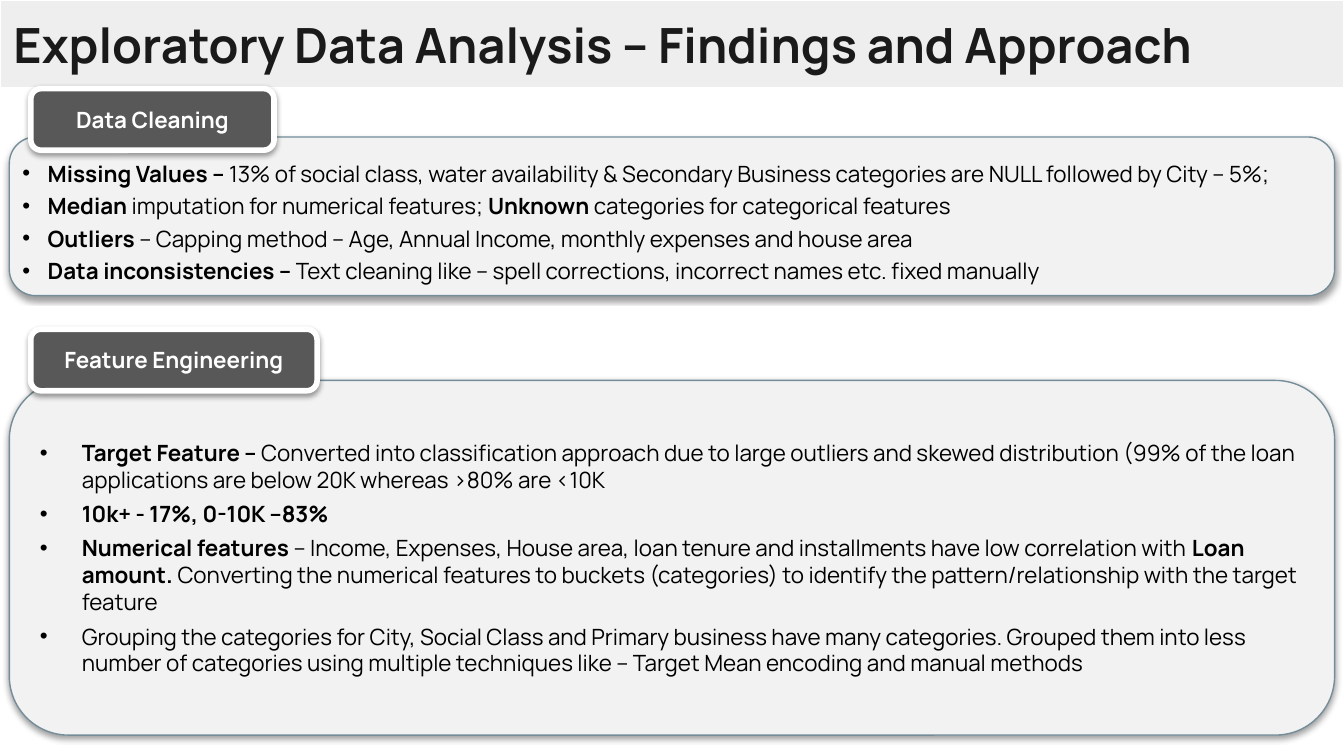
"""Build the slide on exploratory data analysis findings."""
from lxml import etree
from pptx import Presentation
from pptx import util as u
from pptx.dml.color import RGBColor
from pptx.enum import shapes, text
from pptx.oxml.ns import qn

FONT = "Manrope"
BLACK = RGBColor(0, 0, 0)
WHITE = RGBColor(0xFF, 0xFF, 0xFF)
INK = RGBColor(0x1A, 0x1A, 0x1A)
BAND = RGBColor(0xEE, 0xEE, 0xEE)
PANEL = RGBColor(0xF2, 0xF2, 0xF2)
OUTLINE = RGBColor(0x74, 0x8D, 0x99)
TAG = RGBColor(0x58, 0x58, 0x58)

TITLE = "Exploratory Data Analysis – Findings and Approach"
CLEANING = [
    [("Missing Values –", True),
     (" 13% of social class, water availability & Secondary Business categories "
      "are NULL followed by City – 5%;", False)],
    [("Median", True), (" imputation for numerical features; ", False),
     ("Unknown", True), (" categories for categorical features", False)],
    [("Outliers", True),
     (" – Capping method – Age, Annual Income, monthly expenses and house area", False)],
    [("Data inconsistencies – ", True),
     ("Text cleaning like – spell corrections, incorrect names etc. fixed manually", False)],
]
FEATURES = [
    [("Target Feature – ", True),
     ("Converted into classification approach due to large outliers and skewed "
      "distribution (99% of the loan applications are below 20K whereas >80% are <10K", False)],
    [("10k+ - 17%, 0-10K –83%", True)],
    [("Numerical features", True),
     (" – Income, Expenses, House area, loan tenure and installments have low "
      "correlation with ", False),
     ("Loan amount. ", True),
     ("Converting the numerical features to buckets (categories) to identify the "
      "pattern/relationship with the target feature", False)],
    [("Grouping the categories for City, Social Class and Primary business have many "
      "categories. Grouped them into less number of categories using multiple "
      "techniques like – Target Mean encoding and manual methods", False)],
]
PANEL_LEFT, PANEL_WIDTH = 5, 710
TAG_LEFT, TAG_HEIGHT = 16.5, 33


def paint(shape, fill, line, weight):
    shape.fill.solid()
    shape.fill.fore_color.rgb = fill
    shape.line.color.rgb = line
    shape.line.width = u.Pt(weight)


def set_font(para, size, color):
    para.font.name = FONT
    para.font.size = u.Pt(size)
    para.font.color.rgb = color


def add_card(page, left, top, width, height, fill, line, weight):
    card = page.shapes.add_shape(shapes.MSO_SHAPE.ROUNDED_RECTANGLE,
                                 *map(u.Pt, (left, top, width, height)))
    paint(card, fill, line, weight)
    card.shadow.inherit = False
    effects = card._element.spPr.find(qn("a:effectLst"))
    shadow = etree.SubElement(effects, qn("a:outerShdw"), blurRad=str(u.Pt(3.1)),
                              dist=str(u.Pt(1.6)), dir="5400000", rotWithShape="0")
    color = etree.SubElement(shadow, qn("a:srgbClr"), val=str(BLACK))
    etree.SubElement(color, qn("a:alpha"), val="38000")
    return card


def add_tag(page, label, top, width):
    tag = add_card(page, TAG_LEFT, top, width, TAG_HEIGHT, TAG, WHITE, 3)
    tag.text_frame.text = label
    para = tag.text_frame.paragraphs[0]
    para.alignment = text.PP_ALIGN.CENTER
    para.space_after = u.Pt(4)
    para.font.bold = True
    set_font(para, 12, WHITE)


def write_bullets(box, items, indent, before=0, after=0):
    frame = box.text_frame
    frame.word_wrap = True
    frame.vertical_anchor = text.MSO_ANCHOR.MIDDLE
    for index, spans in enumerate(items):
        para = frame.add_paragraph() if index else frame.paragraphs[0]
        para.alignment = text.PP_ALIGN.LEFT
        para.space_before, para.space_after = u.Pt(before), u.Pt(after)
        props = para._p.get_or_add_pPr()
        props.set("marL", str(u.Pt(indent)))
        props.set("indent", str(-u.Pt(indent)))
        etree.SubElement(props, qn("a:buFont"), typeface="Arial")
        etree.SubElement(props, qn("a:buChar"), char="•")
        set_font(para, 12, BLACK)
        for words, bold in spans:
            span = para.add_run()
            span.text = words
            span.font.bold = bold


def add_title(page):
    title = page.shapes.title
    title.left, title.top, title.width, title.height = map(u.Pt, (0, 0, 720, 46.8))
    paint(title, BAND, WHITE, 0.75)
    frame = title.text_frame
    frame.text = TITLE
    frame.auto_size = text.MSO_AUTO_SIZE.NONE
    frame.vertical_anchor = text.MSO_ANCHOR.MIDDLE
    frame.margin_left = frame.margin_right = u.Pt(7.2)
    frame.margin_top = frame.margin_bottom = u.Pt(7.2)
    para = frame.paragraphs[0]
    para.alignment = text.PP_ALIGN.LEFT
    para.font.bold = True
    set_font(para, 26, INK)


def main():
    deck = Presentation()
    deck.slide_width, deck.slide_height = u.Pt(720), u.Pt(405)
    page = deck.slides.add_slide(deck.slide_layouts[5])
    add_title(page)

    features = add_card(page, PANEL_LEFT, 203.8, PANEL_WIDTH, 190, PANEL, OUTLINE, 0.75)
    write_bullets(features, FEATURES, 22.5, after=4)
    add_card(page, PANEL_LEFT, 73.4, PANEL_WIDTH, 85, PANEL, OUTLINE, 0.75)
    cleaning = page.shapes.add_textbox(*map(u.Pt, (PANEL_LEFT, 81.4, 715, 75)))
    write_bullets(cleaning, CLEANING, 13.5, before=3)

    add_tag(page, "Data Cleaning", 47.5, 130.3)
    add_tag(page, "Feature Engineering", 176.4, 153.4)
    deck.save("out.pptx")


if __name__ == "__main__":
    main()
